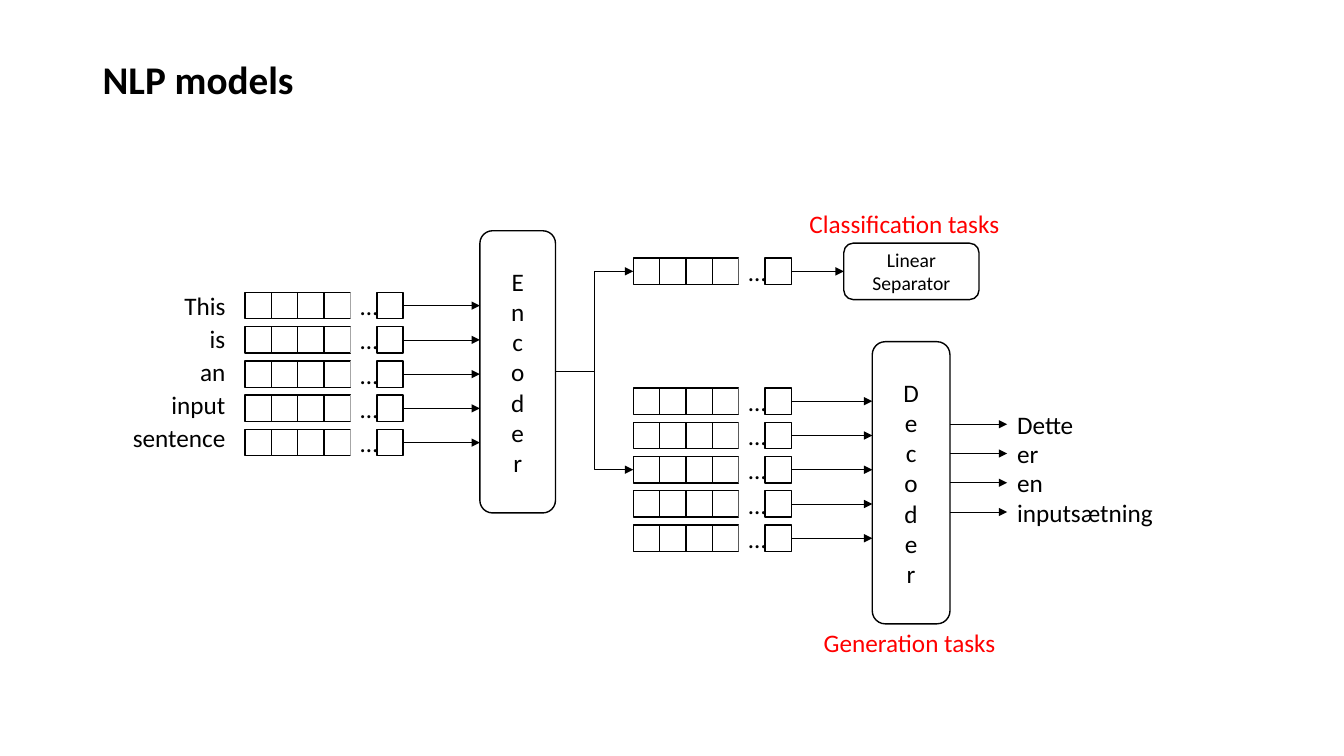
from collections import namedtuple

from lxml.etree import SubElement
from pptx import Presentation
from pptx.dml.color import RGBColor
from pptx.enum.shapes import MSO_CONNECTOR as LINK, MSO_SHAPE as SHAPE
from pptx.enum.text import MSO_ANCHOR as ANCHOR, PP_ALIGN as ALIGN
from pptx.oxml.ns import qn
from pptx.util import Inches, Pt

SLIDE_W, SLIDE_H = Inches(13.33), Inches(7.5)
CELL = SLIDE_W / 51
WORD_H = 1.53
VECTOR_PITCH = 1.3
VECTOR_CELLS = 6
DOTS_CELL = 4
BLACK, WHITE, RED = "000000", "FFFFFF", "FF0000"

Box = namedtuple("Box", "left top width height")

deck = Presentation()
deck.slide_width, deck.slide_height = SLIDE_W, SLIDE_H
slide = deck.slides.add_slide(deck.slide_layouts[6])


def grid(*cells):
    return [round(n * CELL) for n in cells]


def colour(value):
    return RGBColor.from_string(value)


def write(frame, text, size=18, ink=BLACK, bold=False, align=ALIGN.LEFT,
          anchor=ANCHOR.TOP, wrap=True, spacing=None):
    frame.word_wrap = wrap
    frame.vertical_anchor = anchor
    line = frame.paragraphs[0]
    line.alignment = align
    line.line_spacing = spacing
    run = line.add_run()
    run.text = text
    run.font.name = "Calibri"
    run.font.size = Pt(size)
    run.font.bold = bold
    run.font.color.rgb = colour(ink)


def label(box, text, **form):
    write(slide.shapes.add_textbox(*grid(*box)).text_frame, text, **form)


def block(box, kind=SHAPE.RECTANGLE, outlined=True):
    shape = slide.shapes.add_shape(kind, *grid(*box))
    shape.shadow.inherit = False
    shape.fill.solid()
    shape.fill.fore_color.rgb = colour(WHITE)
    if outlined:
        shape.line.color.rgb = colour(BLACK)
        shape.line.width = Pt(1)
    else:
        shape.line.fill.background()
    return shape


def arrow(x1, y1, x2, y2, kind=LINK.STRAIGHT):
    link = slide.shapes.add_connector(kind, *grid(x1, y1, x2, y2))
    link.line.color.rgb = colour(BLACK)
    link.line.width = Pt(0.5)
    SubElement(link.line._get_or_add_ln(), qn("a:tailEnd"), type="triangle")
    SubElement(link._element.spPr, qn("a:effectLst"))


def module(box, name, size=18, stacked=False):
    frame = block(box, SHAPE.ROUNDED_RECTANGLE).text_frame
    write(frame, name, size=size, align=ALIGN.CENTER, anchor=ANCHOR.MIDDLE)
    if stacked:
        frame._txBody.bodyPr.set("vert", "wordArtVert")


def vectors(box, count, target):
    for row in range(count):
        top = box.top + row * VECTOR_PITCH
        for col in range(VECTOR_CELLS):
            is_dots = col == DOTS_CELL
            cell = block(Box(box.left + col, top, 1, 1), outlined=not is_dots)
            if is_dots:
                write(cell.text_frame, "…", align=ALIGN.CENTER,
                      anchor=ANCHOR.MIDDLE)
        arrow(box.left + box.width, top + 0.5, target.left, top + 0.5)


def input_words(box, words):
    pitch = box.height / len(words)
    for row, (word, width) in enumerate(words.items()):
        label(Box(box.left + box.width - width, box.top + row * pitch,
                  width, WORD_H), word, align=ALIGN.RIGHT, wrap=False)


def output_words(box, words, source):
    pitch = box.height / len(words)
    for row, (word, width) in enumerate(words.items()):
        top = box.top + row * pitch
        label(Box(box.left, top, width, WORD_H), word, wrap=False)
        arrow(source.left + source.width, top + WORD_H / 2,
              box.left, top + WORD_H / 2)


def branch(source, target_left, target_y):
    arrow(source.left + source.width, source.top + source.height / 2,
          target_left, target_y, LINK.ELBOW)


def main():
    title = Box(3.52, 2.53, 44, 1.11)
    sentence = Box(4.61, 10.83, 4.32, 6.25)
    embeddings = Box(9.3, 11.1, VECTOR_CELLS, 6.2)
    encoder = Box(18.21, 8.76, 2.87, 10.71)
    summary = Box(24.03, 9.8, VECTOR_CELLS, 1)
    states = Box(24.03, 14.73, VECTOR_CELLS, 6.2)
    separator = Box(32.02, 9.23, 5.13, 2.14)
    decoder = Box(33.1, 12.97, 2.95, 10.71)
    translation = Box(38.22, 15.34, 5.97, 4.44)

    label(title, "NLP models", size=28, bold=True, anchor=ANCHOR.MIDDLE,
          spacing=0.9)
    input_words(sentence, {"This": 2.33, "is": 1.38, "an": 1.76,
                           "input": 2.83, "sentence": 4.32})
    module(encoder, "Encoder", stacked=True)
    vectors(embeddings, 5, encoder)
    for region, count, target in ((summary, 1, separator),
                                  (states, 5, decoder)):
        vectors(region, count, target)
        branch(encoder, region.left, region.top + region.height / 2)
    module(separator, "Linear Separator", size=14)
    module(decoder, "Decoder", stacked=True)
    label(Box(30.34, 7.73, 8.03, WORD_H), "Classification tasks",
          ink=RED, wrap=False)
    label(Box(30.88, 23.61, 7.35, WORD_H), "Generation tasks",
          ink=RED, wrap=False)
    output_words(translation, {"Dette": 2.95, "er": 1.61, "en": 1.76,
                               "inputsætning": 5.97}, decoder)
    deck.save("out.pptx")


if __name__ == "__main__":
    main()
